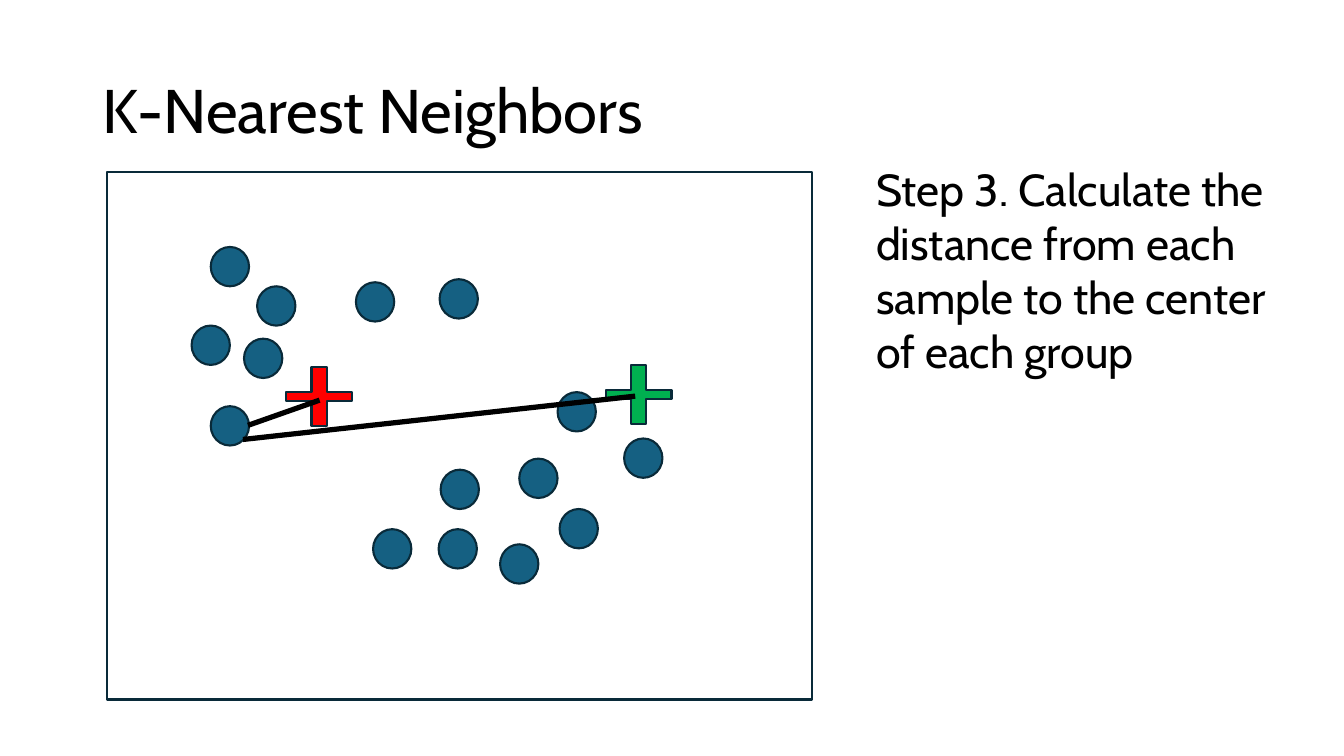
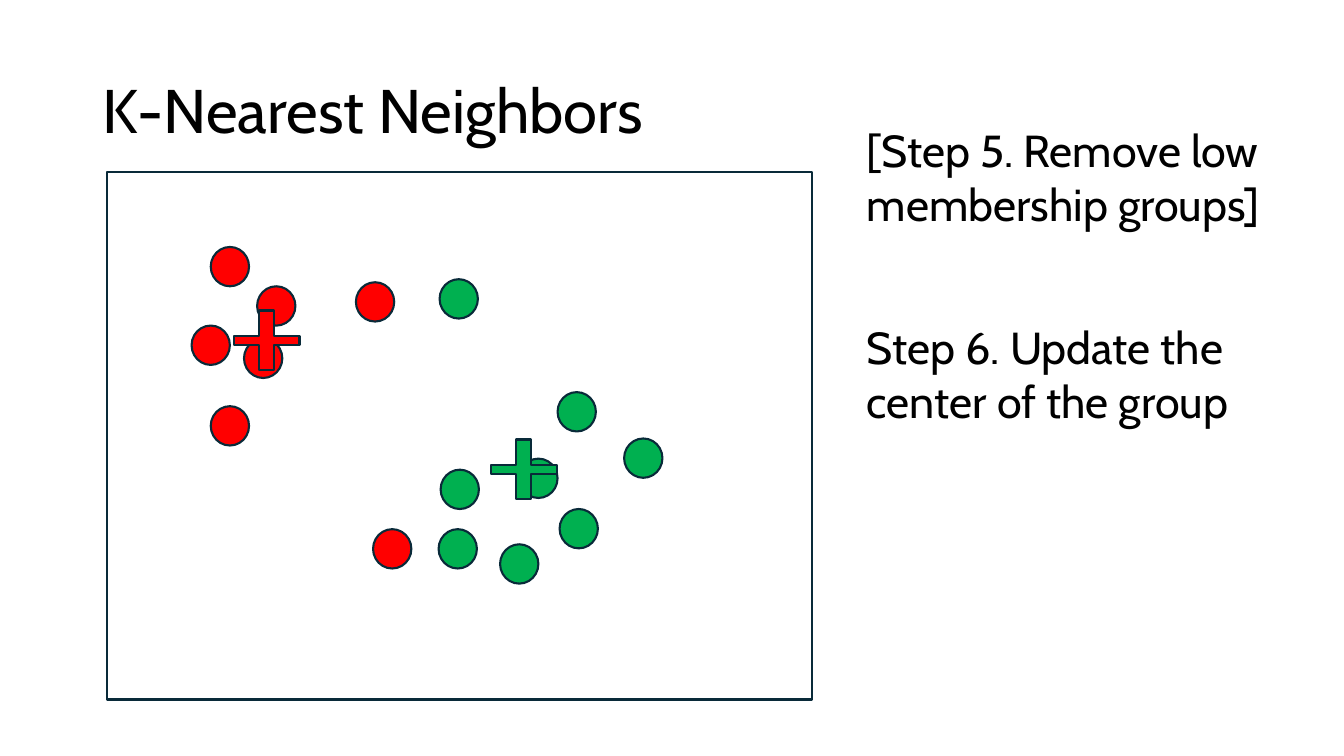
from lxml.etree import SubElement
from pptx import Presentation
from pptx.dml.color import RGBColor
from pptx.enum.shapes import MSO_CONNECTOR, MSO_SHAPE
from pptx.enum.text import MSO_ANCHOR, MSO_AUTO_SIZE, PP_ALIGN
from pptx.oxml.ns import qn
from pptx.util import Inches, Pt

COLORS = {
    "text": "000000",
    "outline": "092A39",
    "unassigned": "156082",
    "red": "FF0000",
    "green": "00B050",
}
FONT = "Cabin"
TITLE = "K-Nearest Neighbors"

SAMPLES = [
    (2.09, 2.45, "red"),
    (2.55, 2.84, "red"),
    (1.9, 3.23, "red"),
    (2.42, 3.36, "red"),
    (4.36, 2.77, "green"),
    (3.53, 2.8, "red"),
    (4.96, 5.4, "green"),
    (5.15, 4.55, "green"),
    (4.37, 4.66, "green"),
    (5.55, 5.05, "green"),
    (3.7, 5.25, "red"),
    (5.53, 3.89, "green"),
    (6.19, 4.35, "green"),
    (4.35, 5.25, "green"),
    (2.09, 4.03, "red"),
]


class Deck:
    def __init__(self):
        self.prs = Presentation()
        self.prs.slide_width = Inches(13.33)
        self.prs.slide_height = Inches(7.5)
        self.s = None

    def color(self, name):
        return RGBColor.from_string(COLORS[name])

    def style(self, p, size):
        p.font.name = FONT
        p.font.size = Pt(size)
        p.font.color.rgb = self.color("text")
        p.alignment = PP_ALIGN.LEFT

    def slide(self, title):
        self.s = self.prs.slides.add_slide(self.prs.slide_layouts[5])
        sp = self.s.shapes.title
        sp.left, sp.top = Inches(0.92), Inches(0.4)
        sp.width, sp.height = Inches(11.5), Inches(1.45)
        tf = sp.text_frame
        tf.text = title
        tf.word_wrap = True
        tf.auto_size = MSO_AUTO_SIZE.NONE
        tf.vertical_anchor = MSO_ANCHOR.MIDDLE
        p = tf.paragraphs[0]
        p.line_spacing = 0.9
        self.style(p, 44)

    def shape(self, kind, x, y, w, h, fill=None):
        sp = self.s.shapes.add_shape(kind, Inches(x), Inches(y), Inches(w), Inches(h))
        sp.shadow.inherit = False
        if fill:
            sp.fill.solid()
            sp.fill.fore_color.rgb = self.color(fill)
        else:
            sp.fill.background()
        sp.line.color.rgb = self.color("outline")
        sp.line.width = Pt(1.5)
        return sp

    def plot(self, assigned):
        self.shape(MSO_SHAPE.RECTANGLE, 1.06, 1.71, 6.99, 5.23)
        for x, y, group in SAMPLES:
            fill = group if assigned else "unassigned"
            self.shape(MSO_SHAPE.OVAL, x, y, 0.38, 0.39, fill)

    def center(self, x, y, group):
        sp = self.shape(MSO_SHAPE.CROSS, x, y, 0.65, 0.59, group)
        sp.adjustments[0] = 0.423

    def distance(self, x1, y1, x2, y2):
        line = self.s.shapes.add_connector(
            MSO_CONNECTOR.STRAIGHT, Inches(x1), Inches(y1), Inches(x2), Inches(y2)
        )
        line.line.color.rgb = self.color("text")
        line.line.width = Pt(3.75)
        SubElement(line._element.spPr, qn("a:effectLst"))

    def step(self, text, x, y, h):
        sp = self.s.shapes.add_textbox(Inches(x), Inches(y), Inches(4.39), Inches(h))
        tf = sp.text_frame
        tf.text = text
        tf.word_wrap = True
        tf.auto_size = MSO_AUTO_SIZE.SHAPE_TO_FIT_TEXT
        self.style(tf.paragraphs[0], 32)


def main():
    deck = Deck()

    deck.slide(TITLE)
    deck.plot(assigned=False)
    deck.center(2.84, 3.64, "red")
    deck.center(6.01, 3.62, "green")
    deck.distance(3.17, 3.97, 2.46, 4.22)
    deck.distance(6.3, 3.93, 2.41, 4.36)
    deck.step(
        "Step 3. Calculate the distance from each sample to the center of each group",
        8.59, 1.56, 2.26,
    )

    deck.slide(TITLE)
    deck.plot(assigned=True)
    deck.center(2.32, 3.08, "red")
    deck.center(4.87, 4.36, "green")
    deck.step("[Step 5. Remove low membership groups]", 8.5, 1.17, 1.18)
    deck.step("Step 6. Update the center of the group", 8.5, 3.12, 1.18)

    deck.prs.save("out.pptx")


if __name__ == "__main__":
    main()
